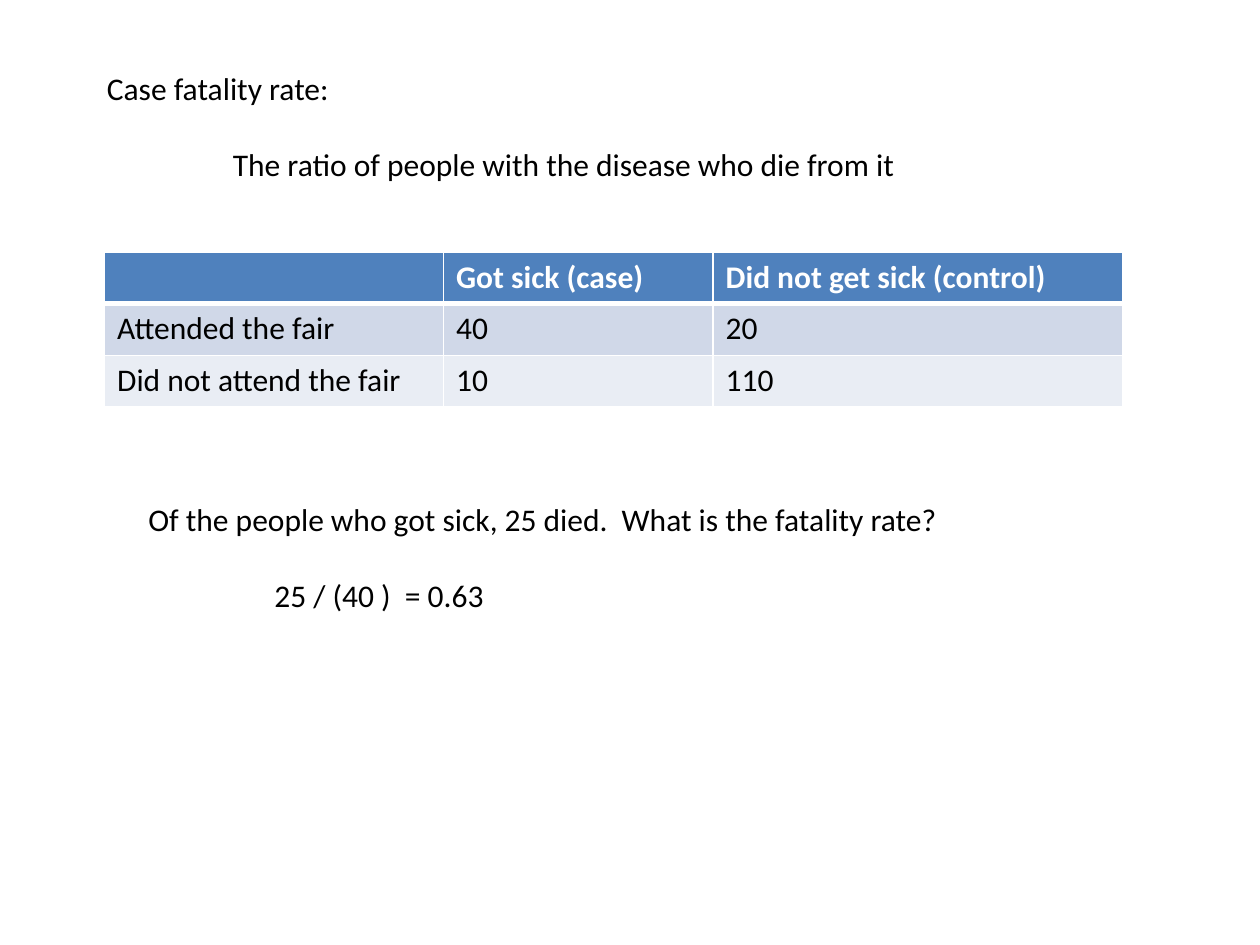
from dataclasses import dataclass

import pptx
import pptx.dml.color
import pptx.enum.text
import pptx.oxml
import pptx.oxml.ns
import pptx.util
from pptx.util import Inches


@dataclass(frozen=True)
class Statement:
    left: float
    top: float
    width: float
    lead: str
    detail: str


@dataclass(frozen=True)
class TableRow:
    labels: tuple[str, str, str]
    fill: str
    text_color: str = "000000"
    bold: bool = False
    bottom_border: float = 1


STATEMENTS = (
    Statement(0.75, 0.5, 6.53, "Case fatality rate:",
              "The ratio of people with the disease who die from it"),
    Statement(1.08, 3.92, 6.54,
              "Of the people who got sick, 25 died.  What is the fatality rate?",
              "25 / (40 )  = 0.63"),
)
FAIR_ROWS = (
    TableRow(("", "Got sick (case)", "Did not get sick (control)"),
             "4F81BD", "FFFFFF", True, 3),
    TableRow(("Attended the fair", "40", "20"), "D0D8E8"),
    TableRow(("Did not attend the fair", "10", "110"), "E9EDF4"),
)
COLUMN_WIDTHS = (2.69, 2.14, 3.25)
ROW_HEIGHT = 0.41


def rgb(color: str) -> pptx.dml.color.RGBColor:
    return pptx.dml.color.RGBColor.from_string(color)


def add_run(paragraph, text: str, color: str = "000000", bold: bool = False) -> None:
    run = paragraph.add_run()
    run.text = text
    run.font.name = "Calibri"
    run.font.size = pptx.util.Pt(18)
    run.font.bold = bold
    run.font.color.rgb = rgb(color)


def add_statement(slide, statement: Statement) -> None:
    box = slide.shapes.add_textbox(Inches(statement.left), Inches(statement.top),
                                   Inches(statement.width), Inches(1.01))
    frame = box.text_frame
    frame.word_wrap = True
    frame.auto_size = pptx.enum.text.MSO_AUTO_SIZE.SHAPE_TO_FIT_TEXT
    add_run(frame.paragraphs[0], statement.lead)
    detail = frame.add_paragraph()
    detail.space_before = pptx.util.Pt(21.6)
    detail_properties = detail._p.get_or_add_pPr()
    detail_properties.set("marL", str(Inches(1)))
    detail_properties.set("indent", "0")
    add_run(detail, statement.detail)


def add_border(cell, side: str, points: float, color: str = "FFFFFF") -> None:
    border = pptx.oxml.parse_xml(
        f'<a:ln{side} {pptx.oxml.ns.nsdecls("a")} w="{pptx.util.Pt(points)}">'
        f'<a:solidFill><a:srgbClr val="{color}"/></a:solidFill></a:ln{side}>')
    cell._tc.get_or_add_tcPr().append(border)


def add_fair_table(slide) -> None:
    frame = slide.shapes.add_table(
        len(FAIR_ROWS), len(COLUMN_WIDTHS), Inches(0.83), Inches(2),
        Inches(sum(COLUMN_WIDTHS)), Inches(ROW_HEIGHT * len(FAIR_ROWS)))
    table = frame.table
    for column, width in zip(table.columns, COLUMN_WIDTHS):
        column.width = Inches(width)
    top_border = 1
    for table_row, fair_row in zip(table.rows, FAIR_ROWS):
        table_row.height = Inches(ROW_HEIGHT)
        borders = {"L": 1, "R": 1, "T": top_border, "B": fair_row.bottom_border}
        for cell, label in zip(table_row.cells, fair_row.labels):
            for side, points in borders.items():
                add_border(cell, side, points)
            cell.fill.solid()
            cell.fill.fore_color.rgb = rgb(fair_row.fill)
            if label:
                add_run(cell.text_frame.paragraphs[0], label,
                        fair_row.text_color, fair_row.bold)
        top_border = fair_row.bottom_border


presentation = pptx.Presentation()
presentation.slide_width = Inches(10)
presentation.slide_height = Inches(7.5)
fatality_slide = presentation.slides.add_slide(presentation.slide_layouts[6])
definition, question = STATEMENTS
add_statement(fatality_slide, definition)
add_fair_table(fatality_slide)
add_statement(fatality_slide, question)
presentation.save("out.pptx")
